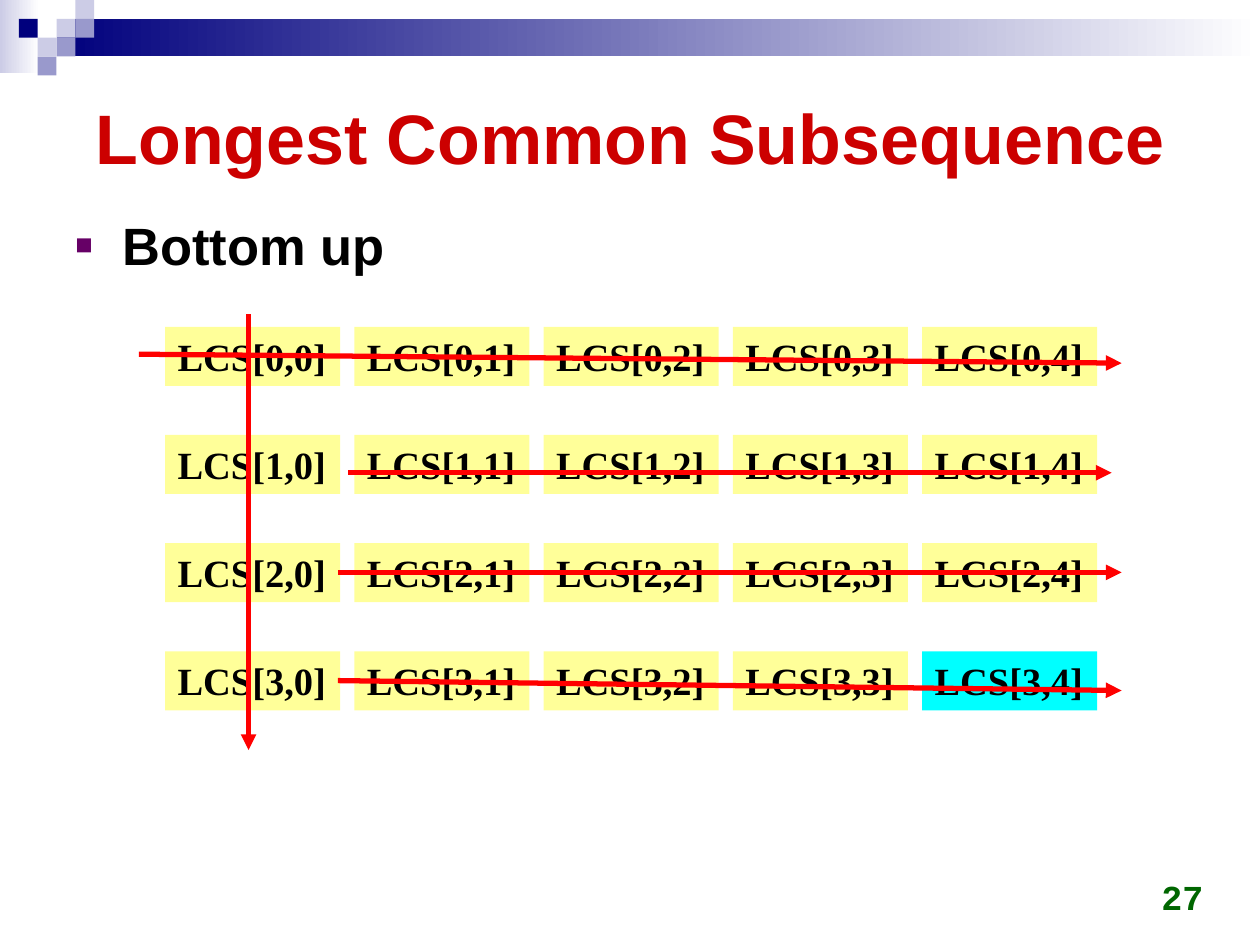
from collections import namedtuple
from dataclasses import dataclass

from lxml import etree
from pptx import Presentation
from pptx import util as u
from pptx.dml.color import RGBColor
from pptx.enum import shapes, text
from pptx.oxml import ns

Box = namedtuple("Box", "left top width height")


@dataclass(frozen=True)
class Theme:
    navy: str = "00007D"
    lilac: str = "CCCCE6"
    violet: str = "9999CC"
    white: str = "FFFFFF"
    title: str = "CC0000"
    ink: str = "000000"
    bullet: str = "660066"
    number: str = "006600"
    cell: str = "FFFF99"
    answer: str = "00FFFF"
    arrow: str = "FF0000"
    sans: str = "Arial"
    serif: str = "Times New Roman"
    mono: str = "Courier New"
    title_size: int = 40
    body_size: int = 30
    cell_size: int = 22
    number_size: int = 20
    arrow_width: int = 3


THEME = Theme()


def place(box):
    return [u.Cm(length) for length in box]


def add_xml(parent, tag, **attributes):
    return etree.SubElement(parent, ns.qn(tag), attributes)


def write(frame, words, *, font, size, color, align=text.PP_ALIGN.LEFT,
          anchor=text.MSO_ANCHOR.TOP, wrap=True, fit=text.MSO_AUTO_SIZE.NONE):
    frame.word_wrap = wrap
    frame.auto_size = fit
    frame.vertical_anchor = anchor
    para = frame.paragraphs[0]
    para.alignment = align
    span = para.add_run()
    span.text = words
    span.font.name = font
    span.font.size = u.Pt(size)
    span.font.bold = True
    span.font.color.rgb = RGBColor.from_string(color)
    return para


def add_block(page, box, *colors):
    block = page.shapes.add_shape(shapes.MSO_SHAPE.RECTANGLE, *place(box))
    block.shadow.inherit = False
    block.line.fill.background()
    if len(colors) == 1:
        block.fill.solid()
        block.fill.fore_color.rgb = RGBColor.from_string(colors[0])
    else:
        block.fill.gradient()
        block.fill.gradient_angle = 0
        for stop, color in zip(block.fill.gradient_stops, colors):
            stop.color.rgb = RGBColor.from_string(color)
    return block


def add_arrow(page, start, end):
    ends = [u.Cm(length) for length in (*start, *end)]
    arrow = page.shapes.add_connector(shapes.MSO_CONNECTOR.STRAIGHT, *ends)
    arrow.line.color.rgb = RGBColor.from_string(THEME.arrow)
    arrow.line.width = u.Pt(THEME.arrow_width)
    properties = arrow.element.spPr
    add_xml(properties.find(ns.qn("a:ln")), "a:tailEnd", type="triangle")
    add_xml(properties, "a:effectLst")


def add_banner(page, box):
    side = 0.38
    squares = [
        (1, 1, THEME.lilac), (2, 0, THEME.lilac), (2, 1, THEME.violet),
        (0, 2, THEME.lilac), (-1, 1, THEME.navy), (1, 2, THEME.violet),
        (0, 3, THEME.violet),
    ]
    origin = box.left + 2 * side
    bar_left = origin + side
    add_block(page, Box(box.left, box.top, 0.79, box.height),
              THEME.lilac, THEME.white)
    add_block(page, Box(bar_left, box.top + side,
                        box.left + box.width - bar_left, 2 * side),
              THEME.navy, THEME.white)
    for column, row, color in squares:
        add_block(page, Box(origin + column * side, box.top + row * side,
                            side, side), color)


def add_title(page, box, words):
    title = page.shapes.title
    title.left, title.top, title.width, title.height = place(box)
    write(title.text_frame, words, font=THEME.sans, size=THEME.title_size,
          color=THEME.title, align=text.PP_ALIGN.CENTER,
          anchor=text.MSO_ANCHOR.MIDDLE)


def add_bullet(page, box, words):
    body = page.shapes.add_textbox(*place(box))
    para = write(body.text_frame, words, font=THEME.sans,
                 size=THEME.body_size, color=THEME.ink)
    para.line_spacing = 1.05
    para.space_before = u.Pt(0.15 * THEME.body_size)
    properties = para._p.get_or_add_pPr()
    indent = u.Cm(0.95)
    properties.set("marL", str(indent))
    properties.set("indent", str(-indent))
    add_xml(add_xml(properties, "a:buClr"), "a:srgbClr", val=THEME.bullet)
    add_xml(properties, "a:buSzPct", val="55000")
    add_xml(properties, "a:buFont", typeface=THEME.sans)
    add_xml(properties, "a:buChar", char="■")


def add_number(page, box, words):
    number = page.shapes.add_textbox(*place(box))
    write(number.text_frame, words, font=THEME.mono, size=THEME.number_size,
          color=THEME.number, align=text.PP_ALIGN.RIGHT,
          anchor=text.MSO_ANCHOR.BOTTOM)


def add_subproblems(page, box, rows, columns):
    width, height = 3.53, 1.19
    across = (box.width - width) / (columns - 1)
    down = (box.height - height) / (rows - 1)
    for row in range(rows):
        for column in range(columns):
            last = (row, column) == (rows - 1, columns - 1)
            cell = add_block(page, Box(box.left + column * across,
                                       box.top + row * down, width, height),
                             THEME.answer if last else THEME.cell)
            write(cell.text_frame, f"LCS[{row},{column}]", font=THEME.serif,
                  size=THEME.cell_size, color=THEME.ink, wrap=False,
                  fit=text.MSO_AUTO_SIZE.SHAPE_TO_FIT_TEXT)


def add_fill_order(page, box):
    routes = [
        ((1.68, -0.26), (1.68, 8.53)),
        ((-0.53, 0.55), (19.28, 0.73)),
        ((3.69, 2.94), (19.08, 2.94)),
        ((3.48, 4.95), (19.28, 4.95)),
        ((3.48, 7.13), (19.28, 7.33)),
    ]
    for route in routes:
        add_arrow(page, *[(box.left + x, box.top + y) for x, y in route])


def main():
    deck = Presentation()
    deck.slide_width, deck.slide_height = u.Cm(25.4), u.Cm(19.05)
    page = deck.slides.add_slide(deck.slide_layouts.get_by_name("Title Only"))
    table = Box(3.33, 6.59, 18.79, 7.73)
    add_banner(page, Box(0, 0, 25.4, 1.47))
    add_title(page, Box(1.27, 1.27, 22.86, 2.95),
              "Longest Common Subsequence")
    add_bullet(page, Box(1.27, 4.11, 22.86, 13.21), "Bottom up")
    add_number(page, Box(18.59, 17.35, 5.92, 1.27), "27")
    add_subproblems(page, table, rows=4, columns=5)
    add_fill_order(page, table)
    deck.save("out.pptx")


if __name__ == "__main__":
    main()
